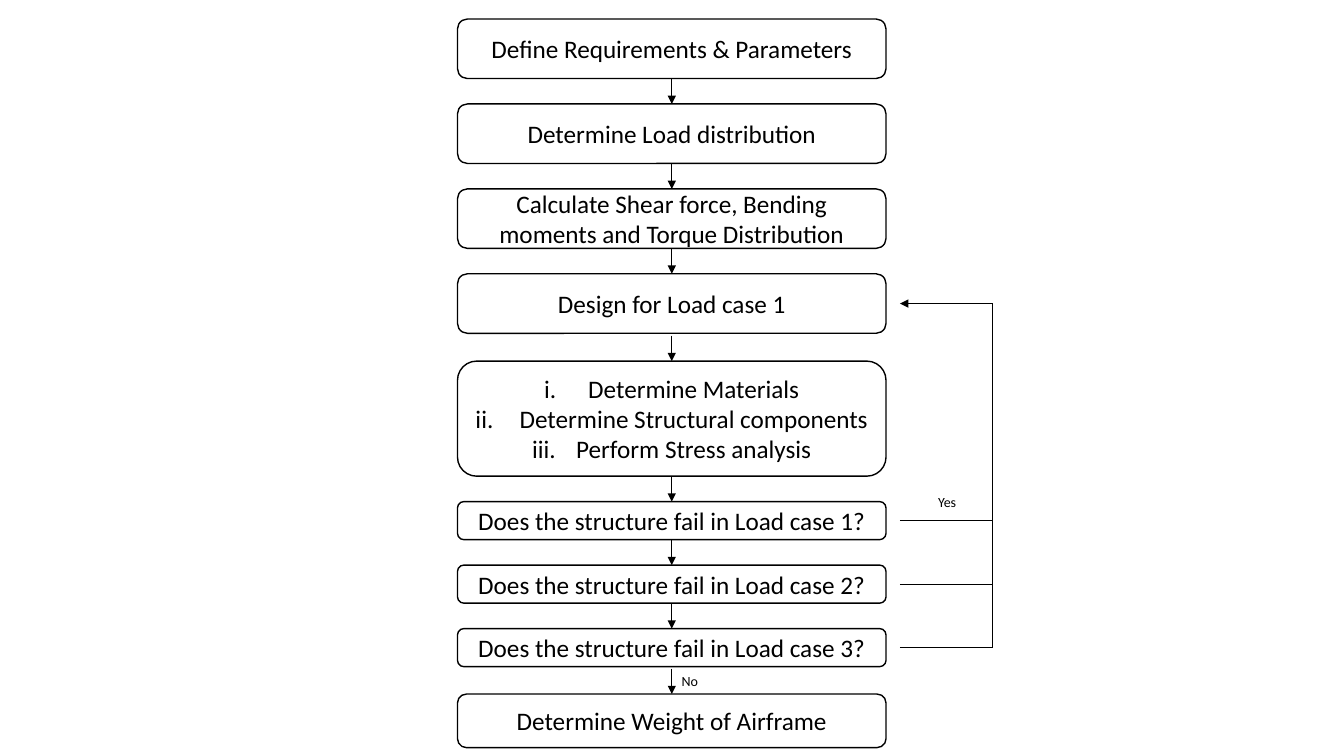
from dataclasses import dataclass

from lxml.etree import SubElement
from pptx import Presentation
from pptx.dml.color import RGBColor
from pptx.enum.shapes import MSO_CONNECTOR, MSO_SHAPE
from pptx.enum.text import MSO_ANCHOR, MSO_AUTO_SIZE, PP_ALIGN
from pptx.oxml.ns import qn
from pptx.util import Cm, Pt


@dataclass(frozen=True)
class Theme:
    ink: RGBColor = RGBColor(0, 0, 0)
    font: str = "Calibri"
    step_size: int = 18
    label_size: int = 10
    border: float = 1
    arrow: float = 0.5


TOP, BOTTOM = 0, 2
BOX_LEFT, BOX_WIDTH = 11.53, 10.8
CENTRE = BOX_LEFT + BOX_WIDTH / 2
FIRST_TOP, ARROW_LENGTH = 0.48, 0.64
LOOP_LEFT, LOOP_RIGHT = 22.68, 25.02

# Lines of text, box height, clearance between the box above and its arrow
STEPS = [
    (["Define Requirements & Parameters"], 1.5, 0),
    (["Determine Load distribution"], 1.5, 0),
    (["Calculate Shear force, Bending moments and Torque Distribution"], 1.5, 0),
    (["Design for Load case 1"], 1.5, 0),
    (["Determine Materials", "Determine Structural components",
      "Perform Stress analysis"], 2.9, 0.06),
    (["Does the structure fail in Load case 1?"], 0.96, 0),
    (["Does the structure fail in Load case 2?"], 0.96, 0),
    (["Does the structure fail in Load case 3?"], 0.96, 0),
    (["Determine Weight of Airframe"], 1.35, 0.05),
]
DESIGN_STEP, CHECK_STEPS = 3, (5, 6, 7)


class FlowChart:
    def __init__(self, slide, theme):
        self.slide, self.theme = slide, theme

    def add_lines(self, frame, lines, size, align):
        for index, line in enumerate(lines):
            paragraph = frame.paragraphs[0] if index == 0 else frame.add_paragraph()
            paragraph.alignment = align
            run = paragraph.add_run()
            run.text = line
            formats = {"name": self.theme.font, "size": Pt(size)}
            for attribute, value in formats.items():
                setattr(run.font, attribute, value)
            run.font.color.rgb = self.theme.ink
            if len(lines) > 1:
                self.number(paragraph)

    def number(self, paragraph):
        """Give the paragraph a lower-case Roman numeral with a hanging indent."""
        properties = paragraph._p.get_or_add_pPr()
        properties.set("marL", str(Cm(1.11)))
        properties.set("indent", str(Cm(-1.11)))
        SubElement(properties, qn("a:buFont"), typeface="+mj-lt")
        SubElement(properties, qn("a:buAutoNum"), type="romanLcPeriod")

    def step(self, lines, top, height):
        box = self.slide.shapes.add_shape(
            MSO_SHAPE.ROUNDED_RECTANGLE,
            Cm(BOX_LEFT), Cm(top), Cm(BOX_WIDTH), Cm(height))
        box.shadow.inherit = False
        box.fill.background()
        box.line.color.rgb = self.theme.ink
        box.line.width = Pt(self.theme.border)
        formats = {"word_wrap": True, "vertical_anchor": MSO_ANCHOR.MIDDLE}
        for attribute, value in formats.items():
            setattr(box.text_frame, attribute, value)
        self.add_lines(box.text_frame, lines, self.theme.step_size, PP_ALIGN.CENTER)
        return box

    def line(self, start, end, arrow=False):
        connector = self.slide.shapes.add_connector(
            MSO_CONNECTOR.STRAIGHT, *(Cm(value) for value in (*start, *end)))
        connector.line.color.rgb = self.theme.ink
        connector.line.width = Pt(self.theme.arrow)
        if arrow:
            SubElement(connector.line._get_or_add_ln(), qn("a:tailEnd"),
                       type="triangle")
        SubElement(connector._element.spPr, qn("a:effectLst"))
        return connector

    def label(self, text, left, top, width):
        box = self.slide.shapes.add_textbox(Cm(left), Cm(top), Cm(width), Cm(0.68))
        formats = {"word_wrap": False, "auto_size": MSO_AUTO_SIZE.SHAPE_TO_FIT_TEXT}
        for attribute, value in formats.items():
            setattr(box.text_frame, attribute, value)
        self.add_lines(box.text_frame, [text], self.theme.label_size, PP_ALIGN.LEFT)


def draw_steps(chart):
    """Stack the steps, join them by arrows and return their middle heights."""
    middles, previous, bottom = [], None, 0
    for lines, height, clearance in STEPS:
        arrow_top = bottom + clearance
        top = arrow_top + ARROW_LENGTH if previous else FIRST_TOP
        box = chart.step(lines, top, height)
        if previous:
            arrow = chart.line((CENTRE, arrow_top), (CENTRE, top), arrow=True)
            if not clearance:
                arrow.begin_connect(previous, BOTTOM)
            arrow.end_connect(box, TOP)
        middles.append(top + height / 2)
        previous, bottom = box, top + height
    return middles


def draw_return_loop(chart, middles):
    for check in CHECK_STEPS:
        chart.line((LOOP_LEFT, middles[check]), (LOOP_RIGHT, middles[check]))
    design = middles[DESIGN_STEP]
    chart.line((LOOP_RIGHT, middles[CHECK_STEPS[-1]]), (LOOP_RIGHT, design))
    chart.line((LOOP_RIGHT, design), (LOOP_LEFT, design), arrow=True)


def main():
    deck = Presentation()
    deck.slide_width, deck.slide_height = Cm(33.87), Cm(19.05)
    blank_layout = deck.slide_layouts[6]
    chart = FlowChart(deck.slides.add_slide(blank_layout), Theme())
    middles = draw_steps(chart)
    draw_return_loop(chart, middles)
    chart.label("No", CENTRE, 16.82, 0.94)
    chart.label("Yes", 23.39, 12.32, 0.99)
    deck.save("out.pptx")


if __name__ == "__main__":
    main()
